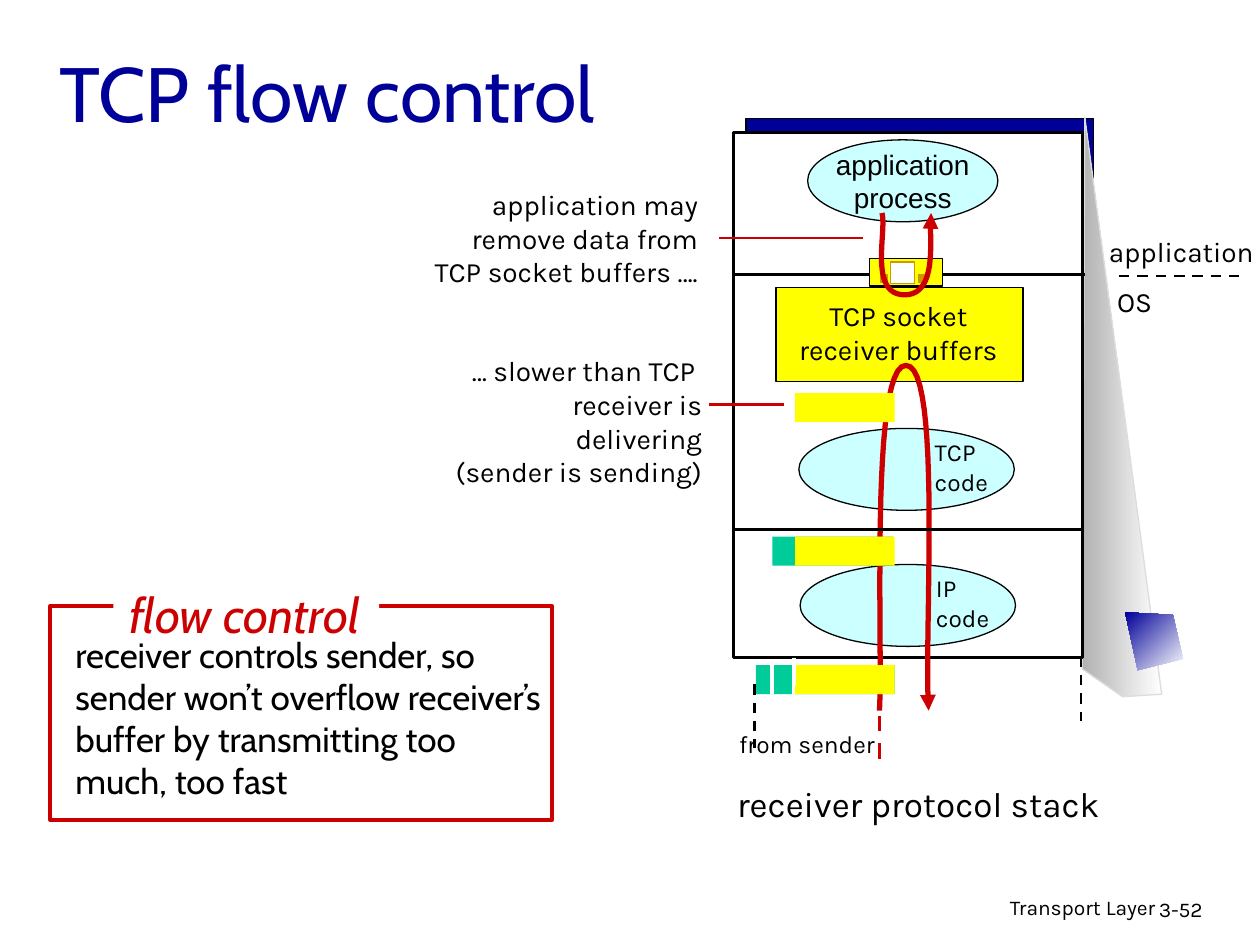
from lxml import etree
from pptx import Presentation
from pptx.dml.color import RGBColor
from pptx.enum import dml, shapes, text
from pptx.oxml.ns import qn
from pptx.util import Inches, Pt

BLACK = RGBColor(0x00, 0x00, 0x00)
WHITE = RGBColor(0xFF, 0xFF, 0xFF)
NAVY = RGBColor(0x00, 0x00, 0x99)
RED = RGBColor(0xCC, 0x00, 0x00)
YELLOW = RGBColor(0xFF, 0xFF, 0x00)
GREEN = RGBColor(0x00, 0xCC, 0x99)
CYAN = RGBColor(0xCC, 0xFF, 0xFF)
GOLD = RGBColor(0xCC, 0x99, 0x00)
GREY = RGBColor(0xB2, 0xB2, 0xB2)
PALE_GREY = RGBColor(0xDD, 0xDD, 0xDD)

RECT = shapes.MSO_SHAPE.RECTANGLE
OVAL = shapes.MSO_SHAPE.OVAL
LEFT, CENTER, RIGHT = text.PP_ALIGN.LEFT, text.PP_ALIGN.CENTER, text.PP_ALIGN.RIGHT


def write(frame, words, size, font, color=BLACK, align=LEFT, wrap=False, italic=False):
    frame.text = words
    frame.word_wrap = wrap
    frame.auto_size = text.MSO_AUTO_SIZE.NONE
    for paragraph in frame.paragraphs:
        paragraph.alignment = align
        for run in paragraph.runs:
            run.font.size, run.font.name = Pt(size), font
            run.font.color.rgb, run.font.italic = color, italic


def outline(shape, color, width):
    if color is None:
        shape.line.fill.background()
    else:
        shape.line.color.rgb, shape.line.width = color, Pt(width)


class Region:
    """Draws at offsets in inches from its own left top corner."""

    def __init__(self, slide, left, top):
        self.canvas, self.left, self.top = slide.shapes, left, top

    def at(self, x, y):
        return Inches(self.left + x), Inches(self.top + y)

    def box(self, x, y, w, h, fill, line=None, width=0.75, kind=RECT):
        shape = self.canvas.add_shape(kind, *self.at(x, y), Inches(w), Inches(h))
        shape.shadow.inherit = False
        shape.fill.solid()
        shape.fill.fore_color.rgb = fill
        outline(shape, line, width)
        return shape

    def label(self, x, y, w, h, words, size=16, font="Karla", **style):
        area = self.canvas.add_textbox(*self.at(x, y), Inches(w), Inches(h))
        write(area.text_frame, words, size, font, **style)

    def line(self, x1, y1, x2, y2, color=BLACK, width=1.5, dashed=False):
        rule = self.canvas.add_connector(
            shapes.MSO_CONNECTOR.STRAIGHT, *self.at(x1, y1), *self.at(x2, y2))
        outline(rule, color, width)
        if dashed:
            rule.line.dash_style = dml.MSO_LINE.DASH
        etree.SubElement(rule._element.spPr, qn("a:effectLst"))

    def outline_of(self, points, close):
        start, *rest = [self.at(x, y) for x, y in points]
        builder = self.canvas.build_freeform(*start)
        builder.add_line_segments(rest, close=close)
        shape = builder.convert_to_shape()
        shape.shadow.inherit = False
        return shape

    def gradient_polygon(self, points, colors, angle, line=None):
        shape = self.outline_of(points, True)
        shape.fill.gradient()
        shape.fill.gradient_angle = angle
        for stop, color in zip(shape.fill.gradient_stops, colors):
            stop.color.rgb = color
        outline(shape, line, 0.75)

    def arrow_curve(self, points, steps=24):
        """Joins cubic curves through the points; the arrowhead is at the end."""
        track = [points[0]]
        for i in range(0, len(points) - 1, 3):
            for step in range(1, steps + 1):
                t = step / steps
                weights = ((1 - t) ** 3, 3 * t * (1 - t) ** 2, 3 * t * t * (1 - t), t ** 3)
                track.append(tuple(sum(w * p[axis] for w, p in zip(weights, points[i:i + 4]))
                                   for axis in (0, 1)))
        curve = self.outline_of(track, False)
        curve.fill.background()
        outline(curve, RED, 3)
        etree.SubElement(curve.line._get_or_add_ln(), qn("a:tailEnd"), type="triangle")


def add_title(slide, x, y, w, h):
    title = slide.shapes.title
    title.left, title.top, title.width, title.height = map(Inches, (x, y, w, h))
    write(title.text_frame, "TCP flow control", 44, "Cabin", NAVY, wrap=True)
    title.text_frame.vertical_anchor = text.MSO_ANCHOR.MIDDLE


def add_footer(slide, left, top):
    footer = Region(slide, left, top)
    footer.label(0, 0, 3.17, 0.31, "Transport Layer", 12, align=RIGHT, wrap=True)
    footer.label(3, 0.02, 0.74, 0.3, "3-52", 12, wrap=True)


def add_stack(slide, left, top):
    stack = Region(slide, left, top)
    # Receiver machine with its side face
    stack.box(0.12, 0.04, 2.76, 4.22, NAVY, BLACK)
    stack.gradient_polygon([(3.42, 4.61), (2.81, 0.03), (2.79, 4.41), (3.11, 4.63)],
                           (WHITE, GREY), 180, PALE_GREY)
    stack.box(0.02, 0.15, 2.77, 4.17, WHITE, BLACK, 1.5)

    # Layers
    process = stack.box(0.61, 0.21, 1.51, 0.65, CYAN, BLACK, kind=OVAL)
    write(process.text_frame, "application\nprocess", 16, "Arial", align=CENTER)
    process.text_frame.vertical_anchor = text.MSO_ANCHOR.MIDDLE
    stack.box(0.36, 1.38, 1.96, 0.75, YELLOW, BLACK)
    stack.label(0.41, 1.42, 1.84, 0.64, "TCP socket\nreceiver buffers", align=CENTER)
    for protocol, x, y in (("TCP", 0.54, 2.5), ("IP", 0.55, 3.58)):
        stack.box(x, y, 1.71, 0.65, CYAN, BLACK, kind=OVAL)
        stack.label(x + 0.98, y + 0.02, 0.64, 0.57, protocol + "\ncode", 14)

    # Data path up to the buffers, and layer borders
    stack.arrow_curve([(1.18, 4.74), (1.21, 4.28), (1.1, 2), (1.39, 2),
                       (1.68, 2), (1.53, 4.17), (1.57, 4.74)])
    for x, y in ((0.02, 3.3), (0.03, 1.28)):
        stack.line(x, y, x + 2.78, y)

    # Socket, and data path to the process
    stack.box(1.1, 1.15, 0.58, 0.22, YELLOW, BLACK)
    stack.box(1.27, 1.18, 0.19, 0.17, WHITE, GOLD)
    for x in (1.49, 1.19):
        stack.box(x, 1.28, 0.05, 0.06, GOLD, GOLD)
    stack.arrow_curve([(1.2, 0.79), (1.24, 0.93), (1.09, 1.44), (1.38, 1.44),
                       (1.67, 1.44), (1.56, 0.9), (1.59, 0.79)])

    # Segments: green headers, yellow payloads
    stack.box(0.2, 4.38, 1.1, 0.23, GREEN)
    for x in (0.33, 0.5):
        stack.line(x, 4.38, x, 4.61, WHITE, 2.25)
    stack.box(0.33, 3.36, 0.96, 0.23, GREEN)
    for y in (2.22, 3.36, 4.38):
        stack.box(0.51, y, 0.79, 0.23, YELLOW)

    # Boundary between application and OS
    stack.label(2.9, 0.91, 1.35, 0.37, "application", align=CENTER)
    stack.label(2.96, 1.31, 0.49, 0.37, "OS", align=CENTER)
    stack.line(3.08, 1.29, 4.03, 1.29, dashed=True)

    # Lower edge and caption
    stack.label(-0.09, 5.26, 3.16, 0.44, "receiver protocol stack", 20, align=CENTER)
    stack.line(1.18, 4.78, 1.18, 5.16, RED, 2.25, dashed=True)
    stack.label(-0.06, 4.84, 1.33, 0.34, "from sender", 14, align=CENTER)
    stack.line(0.5, 4.32, 0.5, 4.54, WHITE, 2.25)
    for x, y in ((0.19, 4.53), (2.78, 4.31)):
        stack.line(x, y, x, y + 0.51, dashed=True)
    stack.gradient_polygon([(3.13, 3.96), (3.51, 3.98), (3.59, 4.33), (3.23, 4.42)],
                           (WHITE, NAVY), 135)


def add_remarks(slide, left, top):
    remarks = Region(slide, left, top)
    remarks.label(0, 0, 3.49, 0.9,
                  "application may \nremove data from \nTCP socket buffers …. ",
                  align=RIGHT, wrap=True)
    remarks.line(3.51, 0.45, 4.65, 0.45, RED)
    remarks.label(1.19, 1.32, 2.28, 1.17,
                  "… slower than TCP \nreceiver is delivering\n(sender is sending)",
                  align=RIGHT, wrap=True)
    remarks.line(3.43, 1.77, 4.02, 1.77, RED)


def add_definition(slide, left, top):
    definition = Region(slide, left, top)
    definition.box(0, 0, 3.98, 1.7, WHITE, RED, 2.25)
    definition.label(0.1, 0.17, 3.93, 1.77,
                     "receiver controls sender, so sender won’t overflow receiver’s "
                     "buffer by transmitting too much, too fast",
                     20, "Cabin", wrap=True)
    definition.box(0.5, -0.12, 2.11, 0.38, WHITE)
    definition.label(0.42, -0.22, 2.24, 0.57, "flow control", 28, "Cabin",
                     color=RED, align=CENTER, italic=True)


def main():
    deck = Presentation()
    deck.slide_width, deck.slide_height = Inches(10), Inches(7.5)
    slide = deck.slides.add_slide(deck.slide_layouts[5])
    add_footer(slide, 6.1, 7.05)
    add_title(slide, 0.37, 0.19, 8.5, 1.07)
    add_stack(slide, 5.8, 0.9)
    add_remarks(slide, 2.2, 1.44)
    add_definition(slide, 0.4, 4.81)
    deck.save("out.pptx")


if __name__ == "__main__":
    main()
